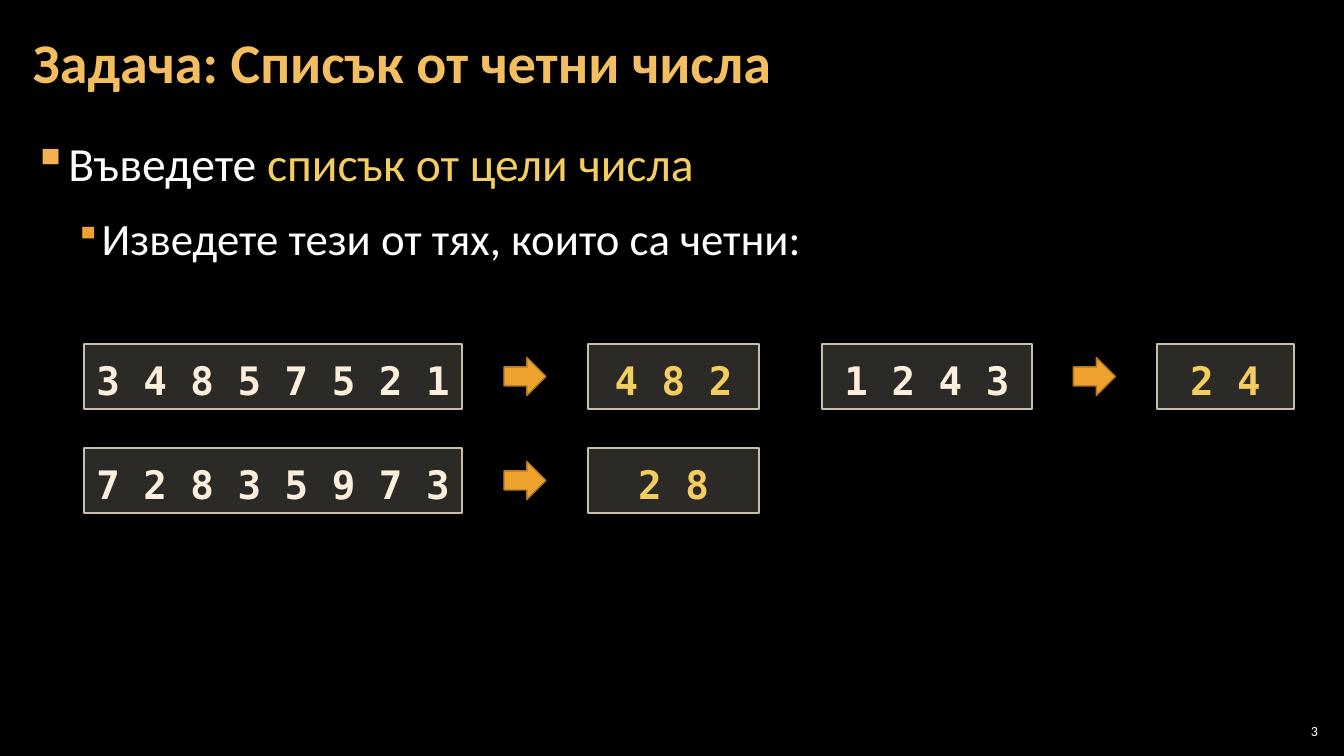
from lxml.etree import SubElement
from pptx import Presentation
from pptx.dml.color import RGBColor
from pptx.enum.shapes import MSO_SHAPE
from pptx.enum.text import MSO_ANCHOR, MSO_AUTO_SIZE, PP_ALIGN
from pptx.oxml.ns import qn
from pptx.util import Emu, Pt

WHITE, ORANGE, YELLOW, CREAM = "FFFFFF", "F0A22E", "F3CD60", "FBEEDC"
TEXT_FONT, CODE_FONT = "Calibri", "DejaVu Sans Mono"


def px(length):
    return Emu(round(length * 914400 / 100.8))


def color(value):
    return RGBColor.from_string(value)


def place(shape, box):
    shape.left, shape.top, shape.width, shape.height = map(px, box)


def format_span(span, size, ink, font=TEXT_FONT, bold=False):
    span.font.name = font
    span.font.size = Pt(size)
    span.font.bold = bold
    span.font.color.rgb = color(ink)


def set_frame(frame, anchor, side):
    frame.word_wrap = True
    frame.auto_size = MSO_AUTO_SIZE.NONE
    frame.vertical_anchor = anchor
    frame.margin_left = frame.margin_right = px(side)
    frame.margin_top = frame.margin_bottom = px(4)


def add_bullet(para, ink, percent, margin, hanging):
    properties = para._p.get_or_add_pPr()
    properties.set("marL", str(px(margin)))
    properties.set("indent", str(px(-hanging)))
    bullet_color = SubElement(properties, qn("a:buClr"))
    SubElement(bullet_color, qn("a:srgbClr"), val=ink)
    SubElement(properties, qn("a:buSzPct"), val=str(percent * 1000))
    SubElement(properties, qn("a:buChar"), char="▪")


def add_title(page, box):
    title = page.shapes.title
    place(title, box)
    frame = title.text_frame
    frame.text = "Задача: Списък от четни числа"
    set_frame(frame, MSO_ANCHOR.MIDDLE, 12)
    para = frame.paragraphs[0]
    para.alignment = PP_ALIGN.LEFT
    para.line_spacing = 0.9
    format_span(para.runs[0], 40, "F3BE60", bold=True)


def add_task(page, box):
    frame = page.shapes.add_textbox(*map(px, box)).text_frame
    set_frame(frame, MSO_ANCHOR.TOP, 12)
    lines = [
        ([("Въведете ", WHITE), ("списък от цели числа", YELLOW)], 34, "F2B254", 100, 33, 33),
        ([("Изведете тези от тях, които са четни:", WHITE)], 32, ORANGE, 80, 67, 25),
    ]
    for level, (spans, size, bullet, percent, margin, hanging) in enumerate(lines):
        para = frame.add_paragraph() if level else frame.paragraphs[0]
        para.level = level
        para.line_spacing = 1.05
        para.space_before = para.space_after = Pt(6)
        add_bullet(para, bullet, percent, margin, hanging)
        for words, ink in spans:
            span = para.add_run()
            span.text = words
            format_span(span, size, ink)


def add_filled(page, kind, box, fill, line):
    shape = page.shapes.add_shape(kind, *map(px, box))
    shape.shadow.inherit = False
    shape.fill.solid()
    shape.fill.fore_color.rgb = color(fill)
    shape.line.color.rgb = color(line)
    shape.line.width = Pt(1)
    return shape


def add_numbers(page, box, numbers, ink):
    shape = add_filled(page, MSO_SHAPE.RECTANGLE, box, "D9D5C7", "C7BFAC")
    fill_color = shape._element.spPr.find(qn("a:solidFill"))[0]
    SubElement(fill_color, qn("a:alpha"), val="20000")
    frame = shape.text_frame
    frame.text = numbers
    set_frame(frame, MSO_ANCHOR.TOP, 10)
    frame.margin_top = frame.margin_bottom = px(5)
    frame.auto_size = MSO_AUTO_SIZE.SHAPE_TO_FIT_TEXT
    para = frame.paragraphs[0]
    para.alignment = PP_ALIGN.CENTER
    para.line_spacing = 1.15
    format_span(para.runs[0], 28, ink, CODE_FONT, True)


def add_example(page, box, given, given_width, evens, evens_width):
    left, top, width, height = box
    arrow_width, arrow_height = 42, 38
    gap = (width - given_width - arrow_width - evens_width) / 2
    add_numbers(page, (left, top, given_width, height), given, CREAM)
    arrow_box = (left + given_width + gap, top + (height - arrow_height) / 2,
                 arrow_width, arrow_height)
    add_filled(page, MSO_SHAPE.RIGHT_ARROW, arrow_box, ORANGE, "B27822")
    add_numbers(page, (left + width - evens_width, top, evens_width, height), evens, YELLOW)


def add_examples(page, box):
    left, top, width, height = box
    row_height, wide, narrow = 65, 675, 472
    second_row = top + height - row_height
    add_example(page, (left, top, wide, row_height), "3 4 8 5 7 5 2 1", 378, "4 8 2", 171)
    add_example(page, (left, second_row, wide, row_height), "7 2 8 3 5 9 7 3", 378, "2 8", 171)
    add_example(page, (left + width - narrow, top, narrow, row_height),
                "1 2 4 3", 210, "2 4", 137)


def add_page_number(page, box):
    frame = page.shapes.add_textbox(*map(px, box)).text_frame
    frame.text = "3"
    set_frame(frame, MSO_ANCHOR.MIDDLE, 4)
    para = frame.paragraphs[0]
    para.alignment = PP_ALIGN.RIGHT
    format_span(para.runs[0], 10, WHITE)


def main():
    deck = Presentation()
    deck.slide_width, deck.slide_height = px(1344), px(756)
    page = deck.slides.add_slide(deck.slide_layouts[5])
    page.background.fill.solid()
    page.background.fill.fore_color.rgb = color("000000")
    add_page_number(page, (1275, 720, 47, 21))
    add_task(page, (21, 127, 1301, 614))
    add_title(page, (21, 4, 1055, 122))
    add_examples(page, (84, 344, 1210, 169))
    deck.save("out.pptx")


if __name__ == "__main__":
    main()
